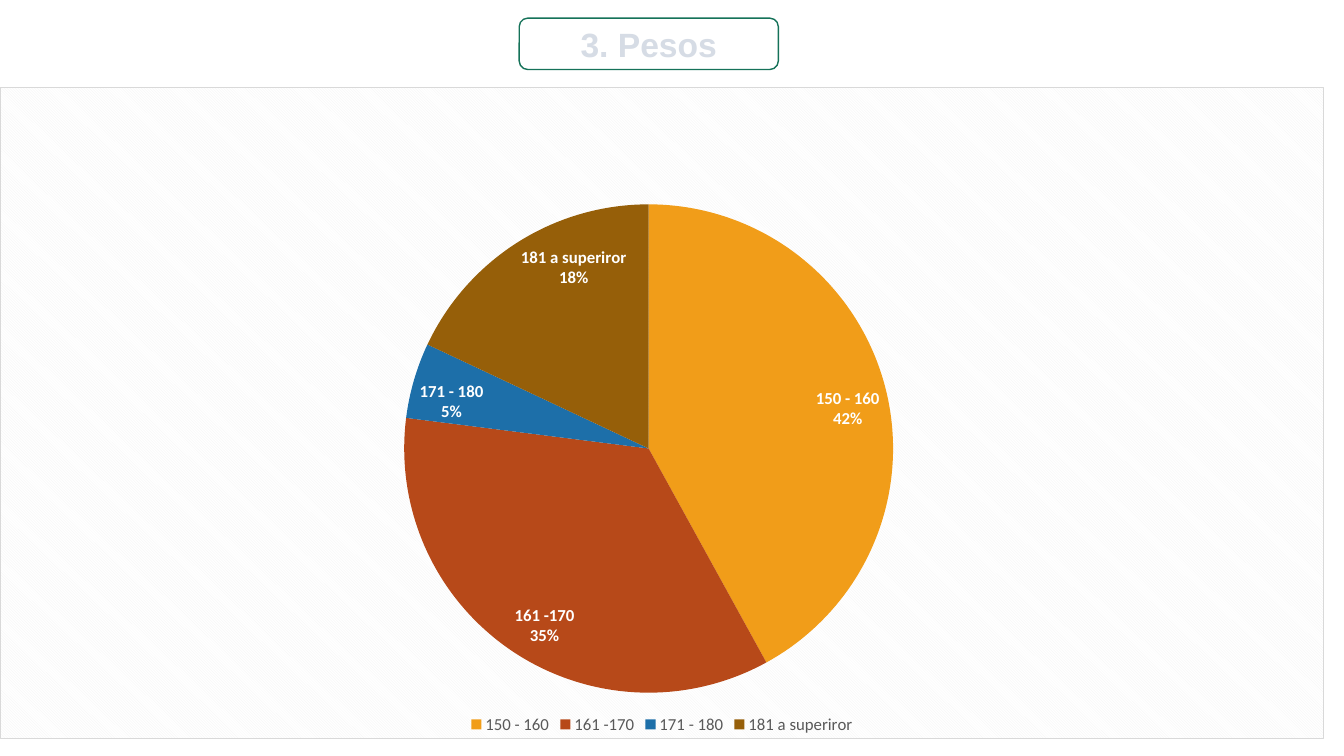
from dataclasses import dataclass

from lxml import etree
from pptx import Presentation
from pptx.chart.data import CategoryChartData
from pptx.dml.color import RGBColor
from pptx.enum.chart import XL_CHART_TYPE, XL_LABEL_POSITION, XL_LEGEND_POSITION
from pptx.enum.shapes import MSO_SHAPE
from pptx.enum.text import MSO_ANCHOR, PP_ALIGN
from pptx.oxml import parse_xml
from pptx.oxml.ns import nsdecls, qn
from pptx.util import Inches, Pt

PIE = XL_CHART_TYPE.PIE
INSIDE_END = XL_LABEL_POSITION.INSIDE_END
BOTTOM = XL_LEGEND_POSITION.BOTTOM
ROUND_RECT = MSO_SHAPE.ROUNDED_RECTANGLE
MIDDLE = MSO_ANCHOR.MIDDLE
CENTER = PP_ALIGN.CENTER


@dataclass(frozen=True)
class Theme:
    """Colours, fonts and type sizes of the slide."""
    green: str = "157259"
    title: str = "D6DCE5"
    legend: str = "595959"
    label: str = "FFFFFF"
    border: str = "D9D9D9"
    stripe: str = "F2F2F2"
    paper: str = "FFFFFF"
    slices: tuple = ("F19D19", "B74919", "1D6FA9", "965F09")
    title_font: str = "Arial"
    chart_font: str = "Calibri"
    title_size: int = 24
    chart_size: int = 12


def set_font(font, color, **values):
    """Apply a colour and a dict of format values to a font."""
    for name, value in values.items():
        setattr(font, name, value)
    font.color.rgb = RGBColor.from_string(color)


class SlideBuilder:
    """Draws styled elements on the current slide."""

    def __init__(self, s, theme):
        """Keep the slide and its theme."""
        self.s, self.theme = s, theme

    def title_box(self, text, *box):
        """Add an outlined rounded box with a centred title."""
        t = self.theme
        sp = self.s.shapes.add_shape(ROUND_RECT, *map(Inches, box))
        sp.shadow.inherit = False
        sp.fill.background()
        sp.line.color.rgb = RGBColor.from_string(t.green)
        sp.line.width = Pt(1)
        tf = sp.text_frame
        tf.vertical_anchor = MIDDLE
        p = tf.paragraphs[0]
        p.alignment = CENTER
        r = p.add_run()
        r.text = text
        set_font(r.font, t.title, name=t.title_font, size=Pt(t.title_size), bold=True)

    def pie(self, shares, layout, *box):
        """Add a pie chart with labels inside and a legend below."""
        t = self.theme
        data = CategoryChartData()
        data.categories = list(shares)
        data.add_series("Pesos", shares.values())
        chart = self.s.shapes.add_chart(PIE, *map(Inches, box), data).chart
        chart.has_title = False
        base = dict(name=t.chart_font, size=Pt(t.chart_size))
        set_font(chart.font, t.legend, **base)
        chart.has_legend = True
        chart.legend.position = BOTTOM
        chart.legend.include_in_layout = False
        set_font(chart.legend.font, t.legend, **base)

        plot = chart.plots[0]
        plot.vary_by_categories = True
        series = plot.series[0]
        for i, color in enumerate(t.slices):
            fill = series.points[i].format.fill
            fill.solid()
            fill.fore_color.rgb = RGBColor.from_string(color)
        labels = series.data_labels
        formats = dict(show_percentage=True, show_category_name=True, show_value=False,
                       number_format="0%", number_format_is_linked=False,
                       position=INSIDE_END)
        for name, value in formats.items():
            setattr(labels, name, value)
        set_font(labels.font, t.label, bold=True, **base)
        self.stack_labels(series)
        self.place_plot(chart, layout)
        self.stripe_background(chart)

    def stack_labels(self, series):
        """Put the category and the percentage on separate lines."""
        separator = etree.Element(qn("c:separator"))
        separator.text = "\n"
        flags = series._element.find(qn("c:dLbls")).findall(qn("c:showBubbleSize"))
        flags[-1].addnext(separator)

    def place_plot(self, chart, layout):
        """Fix the inner plot area as fractions of the chart."""
        area = chart._chartSpace.chart.plotArea
        for old in area.findall(qn("c:layout")):
            area.remove(old)
        sizes = "".join(f'<c:{k} val="{v}"/>' for k, v in zip("xywh", layout))
        area.insert(0, parse_xml(
            f'<c:layout {nsdecls("c")}><c:manualLayout><c:layoutTarget val="inner"/>'
            f'<c:xMode val="edge"/><c:yMode val="edge"/>{sizes}'
            '</c:manualLayout></c:layout>'))

    def stripe_background(self, chart):
        """Give the chart a diagonal pattern and a thin border."""
        t = self.theme
        chart._chartSpace.chart.addnext(parse_xml(
            f'<c:spPr {nsdecls("c", "a")}><a:pattFill prst="dkDnDiag">'
            f'<a:fgClr><a:srgbClr val="{t.stripe}"/></a:fgClr>'
            f'<a:bgClr><a:srgbClr val="{t.paper}"/></a:bgClr></a:pattFill>'
            f'<a:ln w="{Pt(0.75)}"><a:solidFill><a:srgbClr val="{t.border}"/>'
            '</a:solidFill></a:ln></c:spPr>'))


def main():
    """Build the weights slide and save it."""
    prs = Presentation()
    prs.slide_width, prs.slide_height = Inches(13.33), Inches(7.5)
    s = prs.slides.add_slide(prs.slide_layouts[6])
    builder = SlideBuilder(s, Theme())
    builder.title_box("3. Pesos", 5.15, 0.18, 2.57, 0.51)
    weights = {"150 - 160": 42, "161 -170": 35, "171 - 180": 5, "181 a superiror": 18}
    builder.pie(weights, (0.07, 0.18, 0.84, 0.75), 0, 0.86, 13.13, 6.47)
    prs.save("out.pptx")


main()
